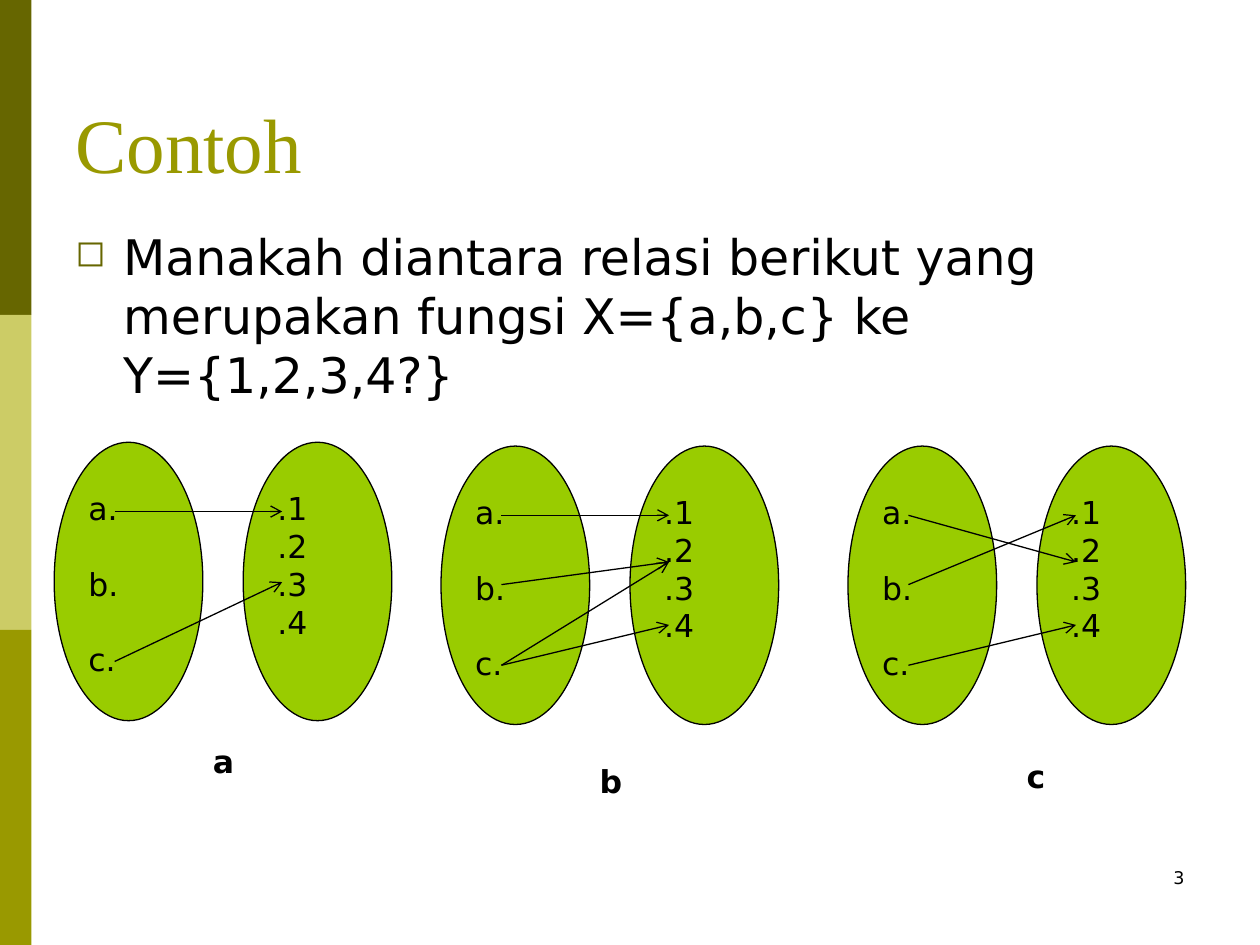
from lxml.etree import SubElement
from pptx import Presentation
from pptx.dml.color import RGBColor
from pptx.enum.shapes import MSO_CONNECTOR, MSO_SHAPE
from pptx.enum.text import MSO_ANCHOR, PP_ALIGN
from pptx.oxml.ns import qn
from pptx.util import Inches, Pt

RECTANGLE, OVAL = MSO_SHAPE.RECTANGLE, MSO_SHAPE.OVAL
STRAIGHT = MSO_CONNECTOR.STRAIGHT
TOP, BOTTOM = MSO_ANCHOR.TOP, MSO_ANCHOR.BOTTOM
LEFT, RIGHT = PP_ALIGN.LEFT, PP_ALIGN.RIGHT

BLACK = RGBColor(0x00, 0x00, 0x00)
DARK_OLIVE = RGBColor(0x66, 0x66, 0x00)
PALE_OLIVE = RGBColor(0xCC, 0xCC, 0x66)
OLIVE = RGBColor(0x99, 0x99, 0x00)
GREEN = RGBColor(0x99, 0xCC, 0x00)

COLUMNS, ROWS = 10, 7.5
SANS, SERIF = "DejaVu Sans", "Times New Roman"

DOMAIN_ROWS = {"a.": 0.55, "b.": 1.1, "c.": 1.74}
RANGE_ROWS = {".1": 0.55, ".2": 0.92, ".3": 1.11, ".4": 1.42}
OVAL_SIZE = (1.18, 2.21)
OVAL_STEP = 1.5
ARROW_START, ARROW_END = 0.48, 1.81

RELATIONS = [
    ((0.43, 3.51), [("a.", ".1"), ("c.", ".3")], "a", (1.59, 5.84)),
    ((3.5, 3.54), [("a.", ".1"), ("c.", ".2"), ("b.", ".2"), ("c.", ".4")], "b", (4.66, 6)),
    ((6.73, 3.54), [("a.", ".2"), ("b.", ".1"), ("c.", ".4")], "c", (8.05, 5.96)),
]


class SlideBuilder:
    body_font = {"name": SANS, "size": Pt(18), "bold": False}

    def __init__(self, deck):
        self.deck = deck
        self.slide = deck.slides.add_slide(deck.slide_layouts[6])

    def place(self, *lengths):
        units = (self.deck.slide_width / COLUMNS, self.deck.slide_height / ROWS)
        return [round(length * units[index % 2]) for index, length in enumerate(lengths)]

    def fill_text(self, box, lines, font=None, color=BLACK, paragraph=None, wrap=True, anchor=TOP):
        frame = box.text_frame
        frame.word_wrap = wrap
        frame.vertical_anchor = anchor
        for index, line in enumerate(lines):
            para = frame.paragraphs[0] if index == 0 else frame.add_paragraph()
            for name, value in {"alignment": LEFT, **(paragraph or {})}.items():
                if index or name != "space_before":
                    setattr(para, name, value)
            span = para.add_run()
            span.text = line
            for name, value in {**self.body_font, **(font or {})}.items():
                setattr(span.font, name, value)
            span.font.color.rgb = color

    def text(self, area, line, **formats):
        box = self.slide.shapes.add_textbox(*self.place(*area))
        self.fill_text(box, [line], **formats)
        return box

    def bullet(self, box, symbol, color, percent, indent):
        for para in box.text_frame.paragraphs:
            properties = para._p.get_or_add_pPr()
            properties.set("marL", str(Inches(indent)))
            properties.set("indent", str(-Inches(indent)))
            tint = SubElement(properties, qn("a:buClr"))
            SubElement(tint, qn("a:srgbClr"), val=str(color))
            SubElement(properties, qn("a:buSzPct"), val=str(percent * 1000))
            SubElement(properties, qn("a:buChar"), char=symbol)

    def shape(self, parent, kind, area, fill, outline=None):
        shape = parent.shapes.add_shape(kind, *self.place(*area))
        shape.shadow.inherit = False
        shape.fill.solid()
        shape.fill.fore_color.rgb = fill
        if outline is None:
            shape.line.fill.background()
        else:
            shape.line.color.rgb = outline
            shape.line.width = Pt(0.75)
        return shape

    def arrow(self, parent, start, end):
        line = parent.shapes.add_connector(STRAIGHT, *self.place(*start, *end))
        line.line.color.rgb = BLACK
        line.line.width = Pt(0.75)
        properties = line._element.spPr
        SubElement(properties.find(qn("a:ln")), qn("a:tailEnd"), type="arrow")
        SubElement(properties, qn("a:effectLst"))

    def relation(self, origin, pairs):
        group = self.slide.shapes.add_group_shape()
        left, top = origin
        spacing = {"line_spacing": Pt(21.6)}
        sets = [(DOMAIN_ROWS, {**spacing, "space_before": Pt(21.6)}), (RANGE_ROWS, spacing)]
        for index, (members, paragraph) in enumerate(sets):
            area = (left + index * OVAL_STEP, top, *OVAL_SIZE)
            oval = self.shape(group, OVAL, area, GREEN, BLACK)
            self.fill_text(oval, members, paragraph=paragraph, wrap=False)
        for source, target in pairs:
            self.arrow(
                group,
                (left + ARROW_START, top + DOMAIN_ROWS[source]),
                (left + ARROW_END, top + RANGE_ROWS[target]),
            )


def main():
    deck = Presentation()
    deck.slide_width, deck.slide_height = Inches(10), Inches(7.5)
    page = SlideBuilder(deck)

    band_height = ROWS / 3
    for index, color in enumerate((DARK_OLIVE, PALE_OLIVE, OLIVE)):
        page.shape(page.slide, RECTANGLE, (0, index * band_height, 0.25, band_height), color)

    page.text((0.5, 0.3, 9, 1.25), "Contoh", font={"name": SERIF, "size": Pt(44)},
              color=OLIVE, anchor=BOTTOM)
    question = page.text(
        (0.5, 1.75, 9, 4.95),
        "Manakah diantara relasi berikut yang merupakan fungsi X={a,b,c} ke Y={1,2,3,4?}",
        font={"size": Pt(28)},
        paragraph={"line_spacing": Pt(33.7)},
    )
    page.bullet(question, "◻", DARK_OLIVE, 75, 0.38)
    page.text((7.17, 6.83, 2.33, 0.5), "3", font={"size": Pt(10)},
              paragraph={"alignment": RIGHT})

    for origin, pairs, caption, corner in RELATIONS:
        page.relation(origin, pairs)
        page.text((*corner, 0.35, 0.4), caption, font={"bold": True}, wrap=False)

    deck.save("out.pptx")


if __name__ == "__main__":
    main()
